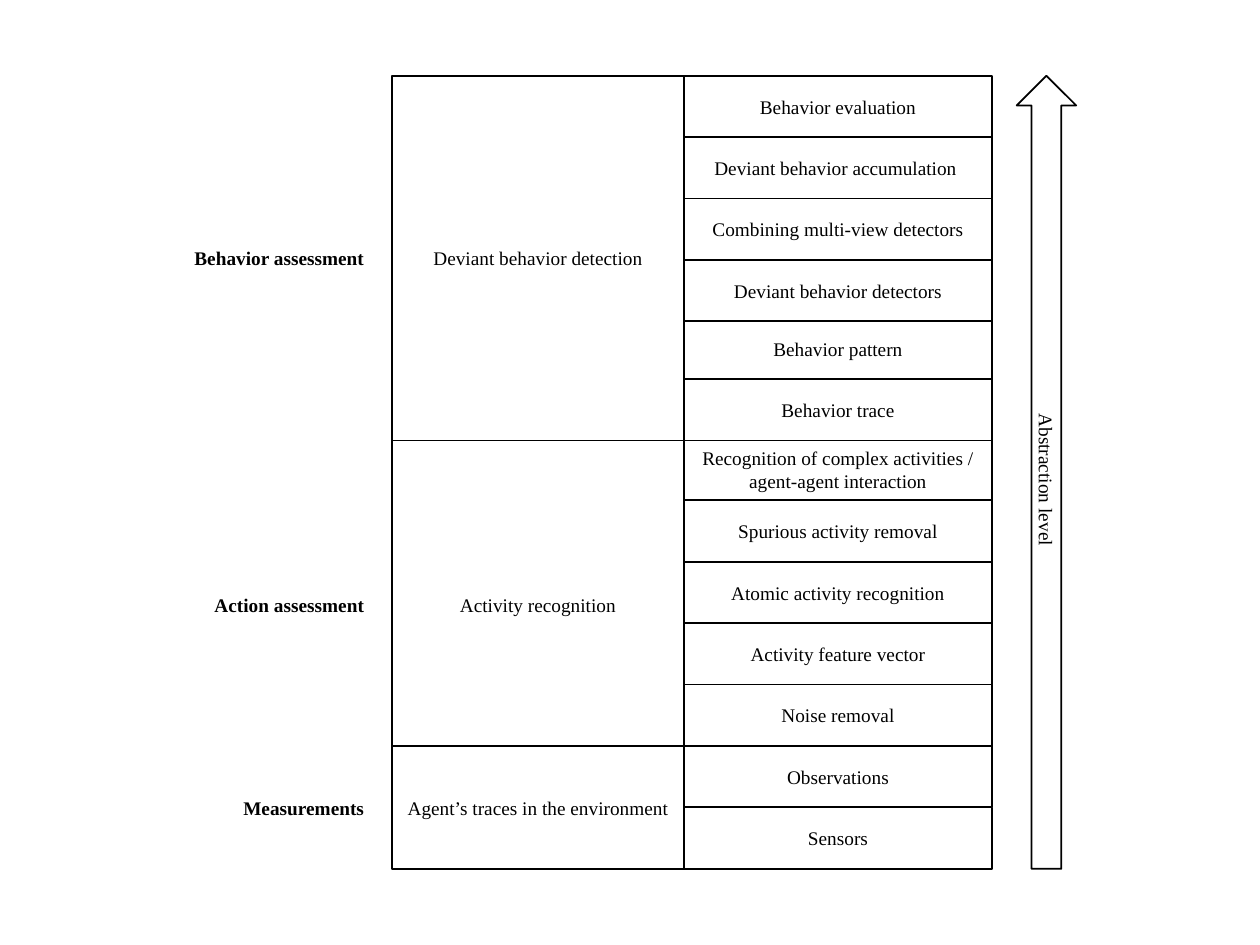
from pptx import Presentation
from pptx.dml.color import RGBColor
from pptx.enum.shapes import MSO_SHAPE
from pptx.enum.text import MSO_ANCHOR, PP_ALIGN
from pptx.util import Pt

RECT, UP_ARROW = MSO_SHAPE.RECTANGLE, MSO_SHAPE.UP_ARROW
CENTER, RIGHT = PP_ALIGN.CENTER, PP_ALIGN.RIGHT
MIDDLE = MSO_ANCHOR.MIDDLE

TOP, BOTTOM = 43.3, 496.5
STEP_H = 35.1
LABEL_BOX = (48.2, 167)
STAGE_BOX = (223.9, 167)
STEP_BOX = (390.9, 175.9)
ARROW_BOX = (581, TOP, 34, BOTTOM - TOP)

# label, stage, height, extra top inset, steps stacked from the top, steps
LEVELS = [
    ("Behavior assessment", "Deviant behavior detection", 208.5, 0, 4,
     ["Behavior evaluation", "Deviant behavior accumulation ",
      "Combining multi-view detectors", "Deviant behavior detectors",
      "Behavior pattern", "Behavior trace"]),
    ("Action assessment", "Activity recognition", 174.5, 13, 0,
     ["Recognition of complex activities / agent-agent interaction",
      "Spurious activity removal", "Atomic activity recognition",
      "Activity feature vector", "Noise removal"]),
    ("Measurements", "Agent’s traces in the environment", 70.2, 0, 0,
     ["Observations", "Sensors"]),
]


def color(value):
    return RGBColor.from_string(value)


def add_box(shapes, box, text, kind=RECT, align=CENTER, bold=False,
            outlined=True, inset=0):
    sp = shapes.add_shape(kind, *(Pt(v) for v in box))
    sp.shadow.inherit = False
    sp.fill.solid()
    sp.fill.fore_color.rgb = color("FFFFFF")
    if outlined:
        sp.line.color.rgb = color("000000")
        sp.line.width = Pt(1)
    else:
        sp.line.fill.background()
    tf = sp.text_frame
    tf.word_wrap = True
    tf.vertical_anchor = MIDDLE
    tf.margin_top = Pt(3.6 + inset)
    p = tf.paragraphs[0]
    p.alignment = align
    r = p.add_run()
    r.text = text
    r.font.name = "Times New Roman"
    r.font.size = Pt(11)
    r.font.bold = bold
    r.font.color.rgb = color("000000")
    return sp


def add_steps(shapes, top, height, from_top, steps):
    left, width = STEP_BOX
    first_from_bottom = top + height - len(steps) * STEP_H
    for i, text in reversed(list(enumerate(steps))):
        start = top if i < from_top else first_from_bottom
        add_box(shapes, (left, start + i * STEP_H, width, STEP_H), text)


def add_stage(shapes, top, height, inset, label, stage):
    for (left, width), text, options in (
            (STAGE_BOX, stage, {}),
            (LABEL_BOX, label,
             {"align": RIGHT, "bold": True, "outlined": False})):
        add_box(shapes, (left, top, width, height), text, inset=inset,
                **options)


def add_level_arrow(shapes, box):
    sp = add_box(shapes, box, "Abstraction level", kind=UP_ARROW)
    sp.text_frame._txBody.bodyPr.set("vert", "vert")


def main():
    prs = Presentation()
    prs.slide_width, prs.slide_height = Pt(720), Pt(540)
    s = prs.slides.add_slide(prs.slide_layouts[6])
    step_group = s.shapes.add_group_shape()
    bottom = BOTTOM
    for label, stage, height, inset, from_top, steps in reversed(LEVELS):
        top = bottom - height
        add_steps(step_group.shapes, top, height, from_top, steps)
        add_stage(s.shapes, top, height, inset, label, stage)
        bottom = top
    add_level_arrow(s.shapes, ARROW_BOX)
    prs.save("out.pptx")


if __name__ == "__main__":
    main()
